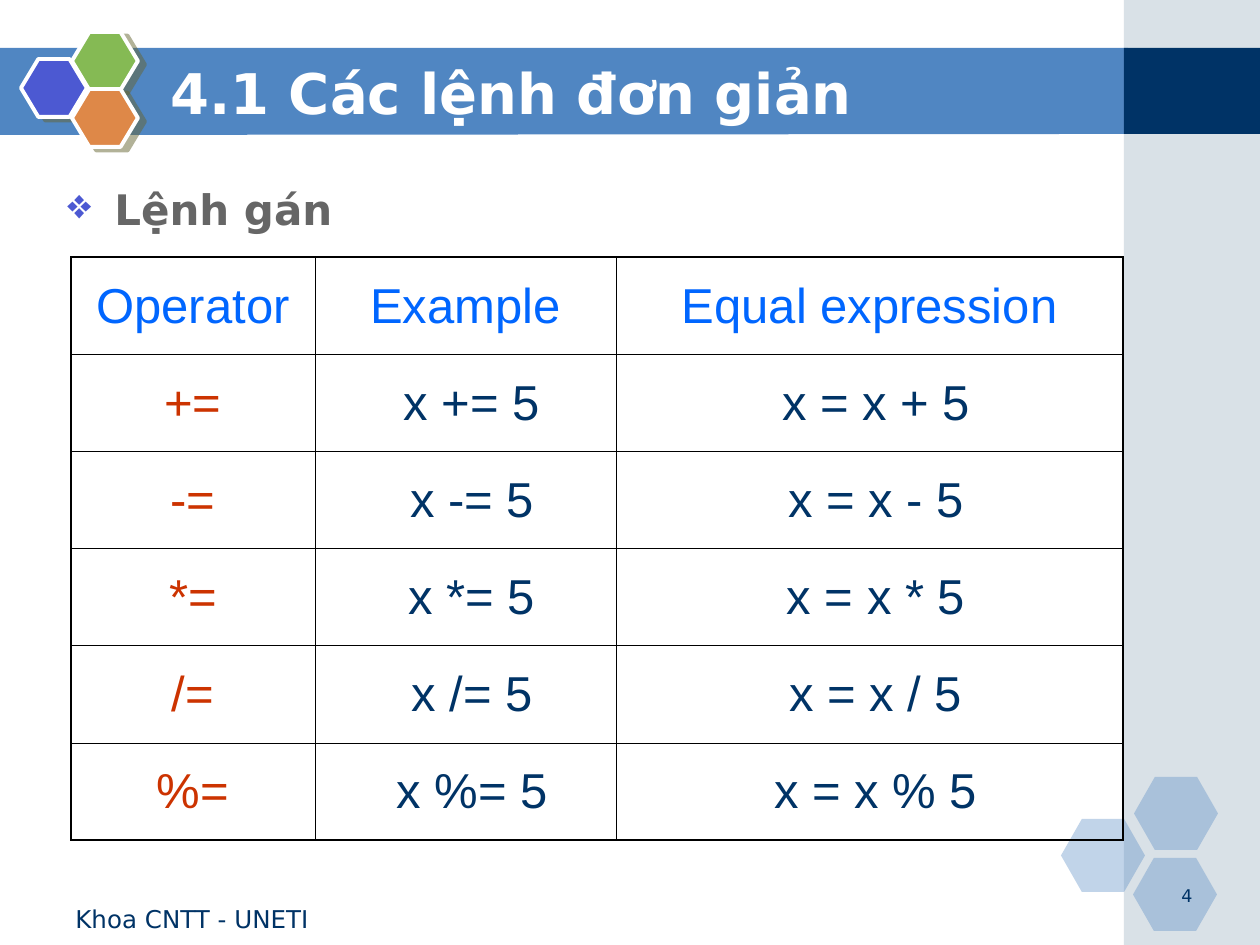
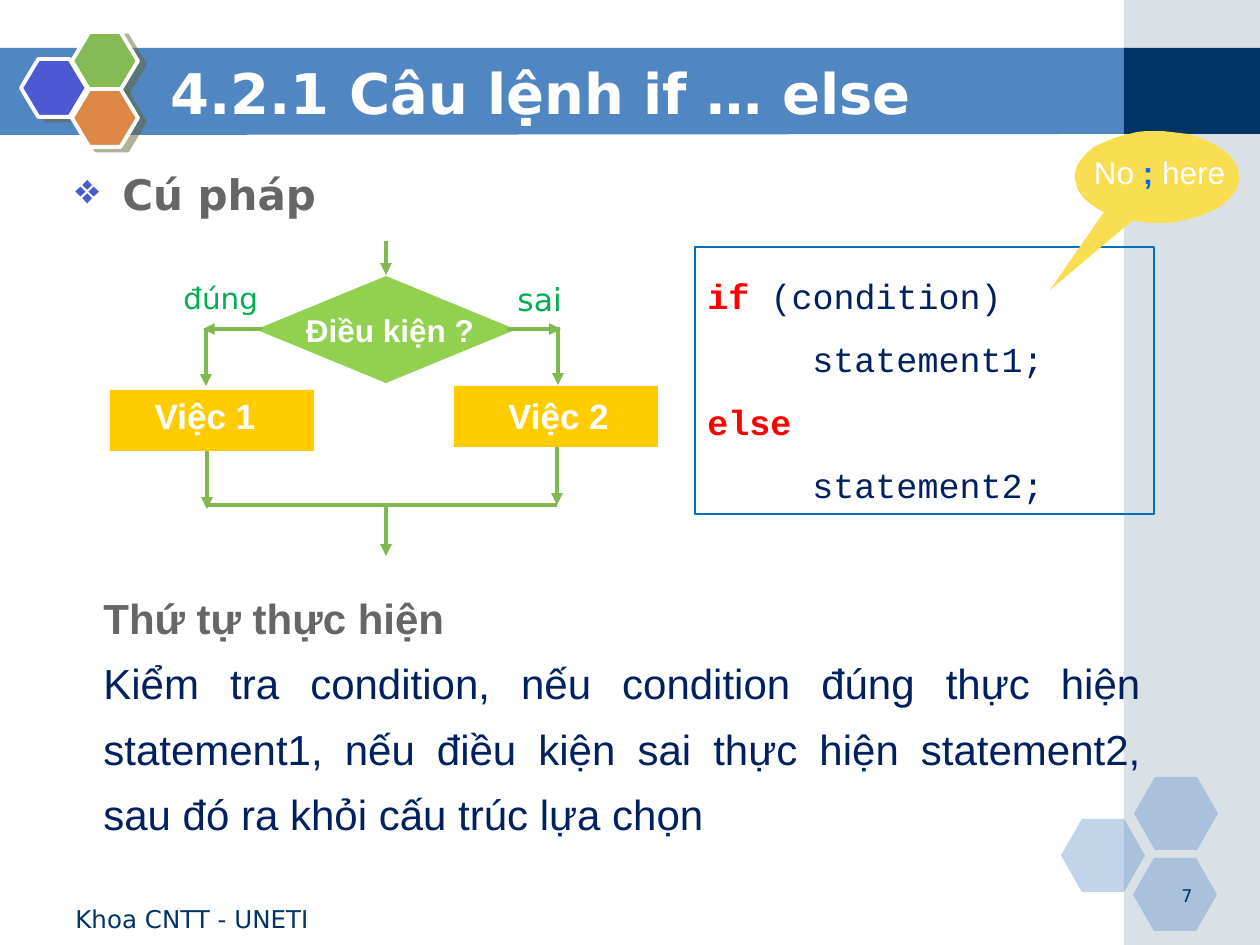
from math import cos, radians, sin

from lxml import etree
from pptx import Presentation
from pptx.dml.color import RGBColor
from pptx.enum.shapes import MSO_CONNECTOR, MSO_SHAPE
from pptx.enum.text import MSO_ANCHOR, PP_ALIGN
from pptx.oxml.ns import qn
from pptx.util import Pt

SCALE = 914400 / 126  # EMU per pixel

RECT, HEXAGON, DIAMOND = MSO_SHAPE.RECTANGLE, MSO_SHAPE.HEXAGON, MSO_SHAPE.DIAMOND
STRAIGHT = MSO_CONNECTOR.STRAIGHT
TOP, MIDDLE = MSO_ANCHOR.TOP, MSO_ANCHOR.MIDDLE
LEFT, CENTER, RIGHT = PP_ALIGN.LEFT, PP_ALIGN.CENTER, PP_ALIGN.RIGHT
JUSTIFY = PP_ALIGN.JUSTIFY

SANS, ARIAL, MONO = "DejaVu Sans", "Arial", "Courier New"

WHITE = RGBColor(0xFF, 0xFF, 0xFF)
BLACK = RGBColor(0, 0, 0)
BAND = RGBColor(0x50, 0x86, 0xC2)
SIDE = RGBColor(0xA0, 0xB5, 0xC4)
NAVY = RGBColor(0x00, 0x33, 0x66)
INK = RGBColor(0x00, 0x20, 0x60)
GREY = RGBColor(0x66, 0x66, 0x66)
INDIGO = RGBColor(0x4C, 0x59, 0xD2)
LEAF = RGBColor(0x85, 0xBA, 0x54)
ORANGE = RGBColor(0xDE, 0x88, 0x48)
OLIVE = RGBColor(0x66, 0x66, 0x33)
BLUE = RGBColor(0x00, 0x66, 0xFF)
RUST = RGBColor(0xCC, 0x33, 0x00)
RED = RGBColor(0xFF, 0x00, 0x00)
FRAME = RGBColor(0x00, 0x70, 0xC0)
ARROW = RGBColor(0x82, 0xB8, 0x50)
LIME = RGBColor(0x92, 0xD0, 0x50)
AMBER = RGBColor(0xFF, 0xCC, 0x00)
GREEN = RGBColor(0x00, 0xB0, 0x50)
YELLOW = RGBColor(0xFA, 0xDE, 0x52)


def px(n):
    return round(n * SCALE)


def sub(parent, tag, **attrs):
    """Append a DrawingML element."""
    return etree.SubElement(parent, qn("a:" + tag), {k: str(v) for k, v in attrs.items()})


def solid(parent, color, alpha=None):
    clr = sub(sub(parent, "solidFill"), "srgbClr", val=color)
    if alpha:
        sub(clr, "alpha", val=alpha * 1000)


class Deck:
    def __init__(self):
        self.prs = Presentation()
        self.prs.slide_width, self.prs.slide_height = px(1260), px(945)

    def slide(self, title, number):
        """Start a slide with the shared band, hexagons, title and footer."""
        self.s = self.prs.slides.add_slide(self.prs.slide_layouts[6])
        self.outline([(-1, 48), (1128, 48), (1128, 134), (-1, 135)], BAND)
        self.shape(RECT, (1124, 0, 136, 945), SIDE, alpha=40)
        self.shape(RECT, (1124, 48, 136, 86), NAVY)
        for x, y in ((1061, 819), (1134, 777), (1133, 858)):
            self.shape(HEXAGON, (x, y, 84, 73), BAND, alpha=35, adj=0.286)
        for x, y, color in ((21, 59, INDIGO), (72, 32, LEAF), (72, 89, ORANGE)):
            sp = self.shape(HEXAGON, (x, y, 66, 58), color, line=WHITE, width=2.25, adj=0.3)
            self.shadow(sp)
        self.text((158, 53, 1018, 78), [[(title, WHITE, True)]], 32, anchor=MIDDLE)
        self.text((63, 898, 294, 34), [[("Khoa CNTT - UNETI", NAVY, False)]], 14)
        self.text((1142, 879, 63, 32), [[(number, NAVY, False)]], 10, align=RIGHT)

    def paint(self, sp, fill, alpha, line, width):
        sp.shadow.inherit = False
        if fill is None:
            sp.fill.background()
        else:
            sp.fill.solid()
            sp.fill.fore_color.rgb = fill
            if alpha:
                clr = sp._element.spPr.find(qn("a:solidFill"))[0]
                sub(clr, "alpha", val=alpha * 1000)
        if line is None:
            sp.line.fill.background()
        else:
            sp.line.color.rgb = line
            sp.line.width = Pt(width)

    def shape(self, kind, box, fill=None, alpha=None, line=None, width=1, adj=None):
        sp = self.s.shapes.add_shape(kind, *map(px, box))
        if adj:
            sp.adjustments[0] = adj
        self.paint(sp, fill, alpha, line, width)
        return sp

    def shadow(self, sp):
        effects = sp._element.spPr.find(qn("a:effectLst"))
        shade = sub(effects, "outerShdw", blurRad=0, dist=Pt(4.5),
                    dir=27 * 60000, algn="ctr", rotWithShape=0)
        clr = sub(shade, "srgbClr", val=OLIVE)
        sub(clr, "alpha", val=50000)

    def outline(self, points, fill):
        builder = self.s.shapes.build_freeform(*points[0], scale=SCALE)
        builder.add_line_segments(points[1:], close=True)
        self.paint(builder.convert_to_shape(), fill, None, None, 0)

    def line(self, x1, y1, x2, y2, arrow=True):
        c = self.s.shapes.add_connector(STRAIGHT, px(x1), px(y1), px(x2), px(y2))
        c.line.color.rgb = ARROW
        c.line.width = Pt(2.25)
        if arrow:
            sub(c.line._get_or_add_ln(), "tailEnd", type="triangle")
        sub(c._element.spPr, "effectLst")

    def paragraph(self, p, runs, size, font, align=LEFT, spacing=None, indent=0):
        """Fill one paragraph; each run is (text, colour, bold)."""
        p.alignment = align
        if spacing:
            p.line_spacing = spacing
        if indent:
            p._p.get_or_add_pPr().set("marL", str(px(indent)))
        for text, color, bold in runs:
            r = p.add_run()
            r.text = text
            r.font.size, r.font.name, r.font.bold = Pt(size), font, bold
            r.font.color.rgb = color

    def fill_text(self, tf, paras, size, font, align, spacing, anchor, indents=()):
        tf.word_wrap = True
        tf.vertical_anchor = anchor
        for i, runs in enumerate(paras):
            p = tf.add_paragraph() if i else tf.paragraphs[0]
            indent = indents[i] if indents else 0
            self.paragraph(p, runs, size, font, align, spacing, indent)

    def text(self, box, paras, size, font=SANS, align=LEFT, spacing=None,
             anchor=TOP, inset=True):
        tf = self.s.shapes.add_textbox(*map(px, box)).text_frame
        if not inset:
            tf.margin_left = tf.margin_right = tf.margin_bottom = 0
            tf.margin_top = px(1)
        self.fill_text(tf, paras, size, font, align, spacing, anchor)
        return tf

    def heading(self, box, text, spacing):
        tf = self.text(box, [[(text, GREY, True)]], 24, align=JUSTIFY, spacing=spacing)
        pPr = tf.paragraphs[0]._p.get_or_add_pPr()
        pPr.set("marL", str(px(47)))
        pPr.set("indent", str(px(-47)))
        sub(sub(pPr, "buClr"), "srgbClr", val=INDIGO)
        sub(pPr, "buChar", char="❖")

    def code(self, box, paras, indents):
        sp = self.shape(RECT, box, line=FRAME, width=0.75)
        self.fill_text(sp.text_frame, paras, 20, MONO, JUSTIFY, 1.5, TOP, indents)

    def borders(self, cell, widths):
        tcPr = cell._tc.get_or_add_tcPr()
        for i, (side, width) in enumerate(zip("LRTB", widths)):
            ln = etree.Element(qn("a:ln" + side), w=str(Pt(width)))
            solid(ln, BLACK)
            tcPr.insert(i, ln)

    def table(self, x, y, widths, row_height, rows):
        last_row, last_col = len(rows) - 1, len(widths) - 1
        frame = self.s.shapes.add_table(len(rows), len(widths), px(x), px(y),
                                        px(sum(widths)), px(row_height * len(rows)))
        table = frame.table
        table.first_row = table.horz_banding = False
        for column, width in zip(table.columns, widths):
            column.width = px(width)
        for i, row in enumerate(rows):
            table.rows[i].height = px(row_height)
            for j, text in enumerate(row):
                cell = table.cell(i, j)
                cell.fill.background()
                cell.margin_left = cell.margin_right = cell.margin_bottom = 0
                cell.margin_top = px(1)
                cell.vertical_anchor = MIDDLE
                color = BLUE if i == 0 else RUST if j == 0 else NAVY
                p = cell.text_frame.paragraphs[0]
                self.paragraph(p, [(text, color, False)], 28, ARIAL, CENTER,
                               indent=13 if i and j else 0)
                p.space_before = Pt(1)
                edges = (j == 0, j == last_col, i == 0, i == last_row)
                self.borders(cell, [1 if edge else 0.5 for edge in edges])

    def callout(self, cx, cy, rx, ry, tip):
        """Ellipse with a pointer leaving it between 108 and 130 degrees."""
        angles = [radians(a) for a in range(130, 469, 6)] + [radians(468)]
        points = [(cx + rx * cos(a), cy + ry * sin(a)) for a in angles]
        self.outline(points + [tip], YELLOW)


deck = Deck()

# Slide 1: assignment operators
deck.slide("4.1 Các lệnh đơn giản", "4")
deck.heading((55, 152, 1149, 727), "Lệnh gán", 1.5)
rows = [("Operator", "Example", "Equal expression")]
rows += [(f"{op}=", f"x {op}= 5", f"x = x {op} 5") for op in "+-*/%"]
deck.table(71, 257, (244, 301, 507), 97.2, rows)

# Slide 2: if ... else
deck.slide("4.2.1 Câu lệnh if … else", "7")
deck.heading((63, 147, 1181, 503), "Cú pháp", 1.3)
deck.code((695, 247, 459, 267), [
    [("if ", RED, True), ("(condition)", INK, False)],
    [("statement1;", INK, False)],
    [("else", RED, True)],
    [("statement2;", INK, False)],
], (0, 105, 0, 105))

# Flowchart: decision
deck.line(386, 241, 386, 275)
deck.shape(DIAMOND, (256, 276, 260, 107), LIME)
deck.text((289, 305, 202, 50), [[("Điều kiện ?", WHITE, True)]], 18, ARIAL, CENTER)
deck.line(262, 329, 203, 329)
deck.line(507, 329, 561, 329)

# Flowchart: the two branches
for box, label_box, label in (
    ((110, 390, 204, 61), (116, 388, 178, 55), "Việc 1"),
    ((454, 386, 204, 61), (481, 388, 155, 55), "Việc 2"),
):
    deck.shape(RECT, box, AMBER)
    deck.text(label_box, [[(label, WHITE, True)]], 20, ARIAL, CENTER)
deck.line(206, 328, 206, 386)
deck.line(558, 327, 558, 385)
deck.line(207, 451, 207, 509)
deck.line(557, 447, 557, 505)

# Flowchart: join
deck.line(207, 505, 557, 505, arrow=False)
deck.line(386, 505, 386, 556)
deck.text((171, 270, 105, 71), [[("đúng", GREEN, False)]], 16.8, align=JUSTIFY, spacing=1.1)
deck.text((505, 262, 105, 71), [[("sai", GREEN, False)]], 18, align=JUSTIFY, spacing=1.3)

# Order of execution
deck.text((91, 571, 1062, 277), [
    [("Thứ tự thực hiện", GREY, True)],
    [("Kiểm tra condition, nếu condition đúng thực hiện statement1, nếu điều kiện sai "
      "thực hiện statement2, sau đó ra khỏi cấu trúc lựa chọn", INK, False)],
], 24, ARIAL, JUSTIFY, 1.3)

# Callout
deck.callout(1157, 177, 82, 46, (1050, 290))
deck.text((1092, 152, 135, 42),
          [[("No ", WHITE, False), ("; ", BLUE, True), ("here", WHITE, False)]],
          18, ARIAL, CENTER, inset=False)

deck.prs.save("out.pptx")
